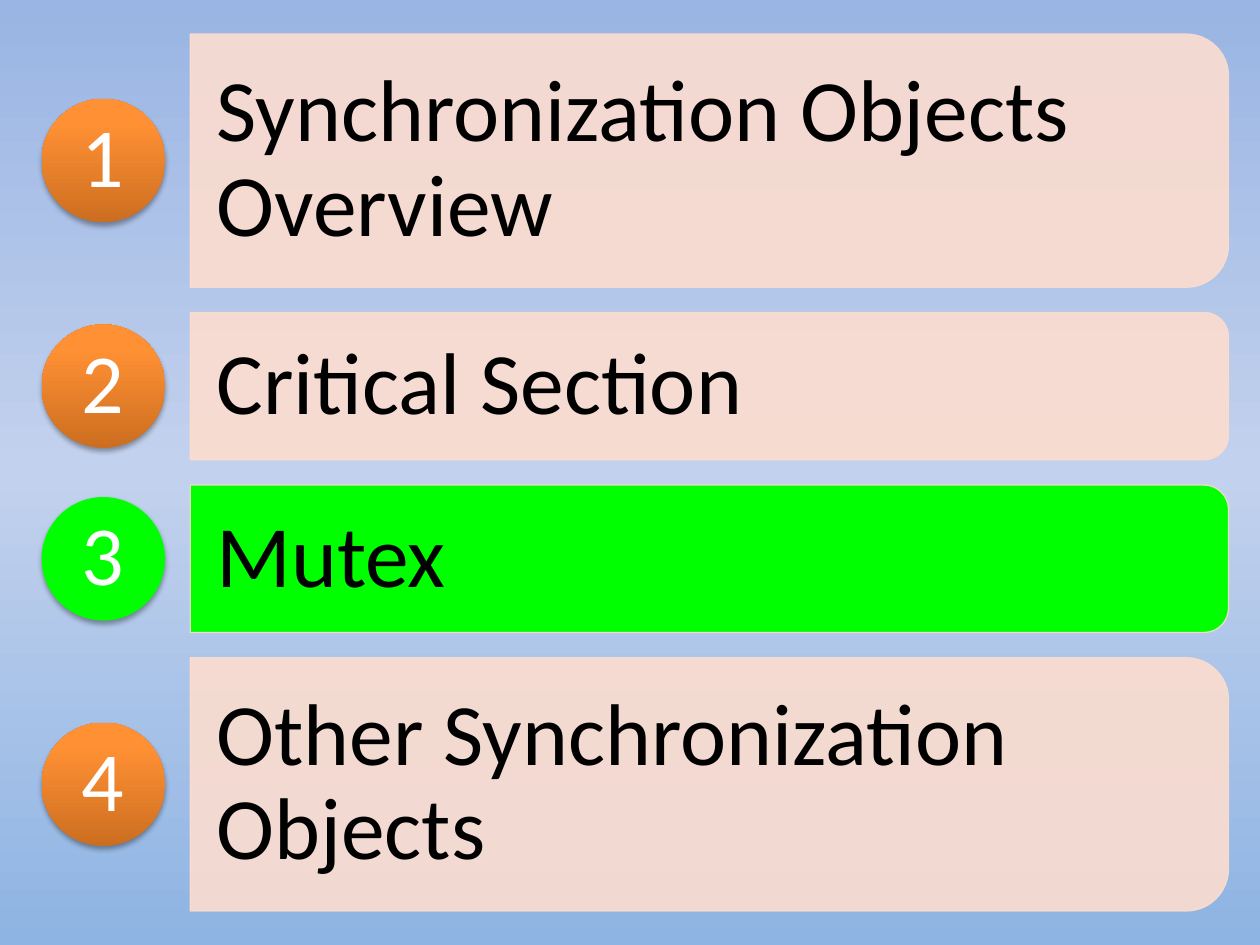
from copy import deepcopy
from dataclasses import dataclass

from lxml import etree
from pptx import Presentation
from pptx import util as u
from pptx.dml import color
from pptx.enum import shapes, text
from pptx.oxml import ns

PEACH, GREEN, BLACK, WHITE = "FCDDCF", "00FF00", "000000", "FFFFFF"
SKY = [(0, "9AB5E4"), (0.5, "C2D1ED"), (1, "8EB4E3")]
ORANGE = [(0, "CC6E20"), (0.8, "FF9034"), (1, "FF9136")]
BAR_LEFT, BAR_WIDTH, FIRST_TOP, GAP = 1.51, 8.24, 0.27, 0.2
LINE_HEIGHTS = {1: 1.17, 2: 2.01}
BADGE_LEFT, BADGE_SIZE = 0.33, 0.98


@dataclass
class Topic:
    title: str
    lines: int
    current: bool = False


TOPICS = [
    Topic("Synchronization Objects Overview", 2),
    Topic("Critical Section", 1),
    Topic("Mutex", 1, current=True),
    Topic("Other Synchronization Objects", 2),
]


def rgb(value: str) -> color.RGBColor:
    return color.RGBColor.from_string(value)


def set_gradient(fill, owner, stops: list, angle: float) -> None:
    fill.gradient()
    fill.gradient_angle = angle
    stop_list = next(owner.iter(ns.qn("a:gsLst")))
    while len(stop_list) < len(stops):
        stop_list.append(deepcopy(stop_list[-1]))
    for stop, (position, value) in zip(fill.gradient_stops, stops):
        stop.position = position
        stop.color.rgb = rgb(value)


def set_alpha(parent, percent: int) -> None:
    for solid in parent.iter(ns.qn("a:solidFill")):
        etree.SubElement(solid[0], ns.qn("a:alpha"), val=str(percent * 1000))


def add_shadow(shape) -> None:
    effects = shape._element.spPr.find(ns.qn("a:effectLst"))
    shadow = etree.SubElement(effects, ns.qn("a:outerShdw"), blurRad="40000",
                              dist="23000", dir="5400000", rotWithShape="0")
    shade = etree.SubElement(shadow, ns.qn("a:srgbClr"), val=BLACK)
    etree.SubElement(shade, ns.qn("a:alpha"), val="35000")


def write(shape, words: str, size: int, value: str, align, inset_x: float, inset_y: float) -> None:
    frame = shape.text_frame
    frame.word_wrap = True
    frame.vertical_anchor = text.MSO_ANCHOR.MIDDLE
    frame.margin_left = frame.margin_right = u.Inches(inset_x)
    frame.margin_top = frame.margin_bottom = u.Inches(inset_y)
    paragraph = frame.paragraphs[0]
    paragraph.text = words
    paragraph.alignment = align
    paragraph.line_spacing = 0.9
    paragraph.font.name = "Calibri"
    paragraph.font.size = u.Pt(size)
    paragraph.font.color.rgb = rgb(value)


def add_bar(slide, topic: Topic, top: float, height: float) -> None:
    left = BAR_LEFT + (BAR_WIDTH - height) / 2
    bar = slide.shapes.add_shape(
        shapes.MSO_SHAPE.ROUND_2_SAME_RECTANGLE, u.Inches(left),
        u.Inches(top + (height - BAR_WIDTH) / 2), u.Inches(height), u.Inches(BAR_WIDTH))
    bar.rotation = 90
    bar.shadow.inherit = False
    bar.fill.solid()
    bar.fill.fore_color.rgb = rgb(GREEN if topic.current else PEACH)
    bar.line.color.rgb = rgb(PEACH)
    bar.line.width = u.Pt(0.75)
    set_alpha(bar.line._ln if topic.current else bar._element.spPr, 90)
    label = slide.shapes.add_textbox(u.Inches(BAR_LEFT), u.Inches(top),
                                     u.Inches(BAR_WIDTH - height / 20), u.Inches(height))
    write(label, topic.title, 50, BLACK, text.PP_ALIGN.LEFT, 0.21, 0.14)


def add_badge(slide, number: int, topic: Topic, middle: float) -> None:
    badge = slide.shapes.add_shape(
        shapes.MSO_SHAPE.OVAL, u.Inches(BADGE_LEFT), u.Inches(middle - BADGE_SIZE / 2),
        u.Inches(BADGE_SIZE), u.Inches(BADGE_SIZE))
    badge.shadow.inherit = False
    badge.line.fill.background()
    if topic.current:
        badge.fill.solid()
        badge.fill.fore_color.rgb = rgb(GREEN)
    else:
        set_gradient(badge.fill, badge._element, ORANGE, 90)
    add_shadow(badge)
    write(badge, str(number), 48, WHITE, text.PP_ALIGN.CENTER, 0, 0)


def main() -> None:
    presentation = Presentation()
    presentation.slide_width, presentation.slide_height = u.Inches(10), u.Inches(7.5)
    slide = presentation.slides.add_slide(presentation.slide_layouts[6])
    set_gradient(slide.background.fill, slide.element, SKY, 270)
    top = FIRST_TOP
    for number, topic in enumerate(TOPICS, 1):
        height = LINE_HEIGHTS[topic.lines]
        add_bar(slide, topic, top, height)
        add_badge(slide, number, topic, top + height / 2)
        top += height + GAP
    presentation.save("out.pptx")


main()
